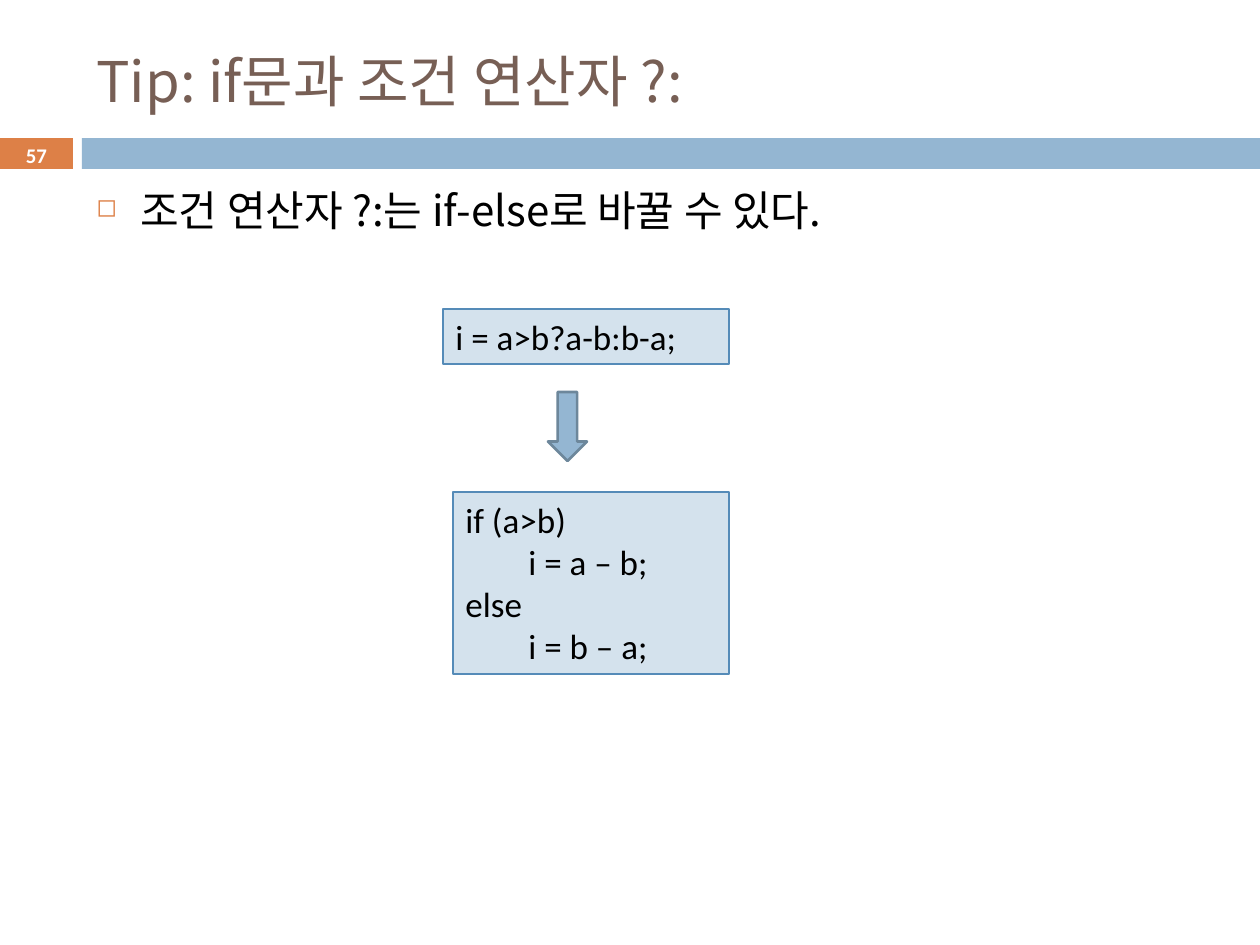
from dataclasses import dataclass

from lxml import etree
from pptx import Presentation
from pptx.dml.color import RGBColor
from pptx.enum.shapes import MSO_SHAPE
from pptx.enum.text import MSO_ANCHOR, PP_ALIGN
from pptx.oxml.ns import qn
from pptx.util import Emu, Pt

RECTANGLE, DOWN_ARROW = MSO_SHAPE.RECTANGLE, MSO_SHAPE.DOWN_ARROW
TOP, MIDDLE = MSO_ANCHOR.TOP, MSO_ANCHOR.MIDDLE
LEFT, CENTER = PP_ALIGN.LEFT, PP_ALIGN.CENTER

EMU_PER_PX = 914400 / 126
CODE_INDENT = 63
BULLET_INDENT = 44
KOREAN_FONT, LATIN_FONT = "Noto Sans CJK KR", "Calibri"
COLORS = {
    "title": "775F55",
    "text": "000000",
    "white": "FFFFFF",
    "accent": "DD8047",
    "band": "94B6D2",
    "arrow_line": "6D879B",
    "code_fill": "D4E2ED",
    "code_line": "558BB8",
}


@dataclass(frozen=True)
class Box:
    left: int
    top: int
    width: int
    height: int


@dataclass(frozen=True)
class Block:
    box: Box
    fill: str
    line: str = ""
    line_width: float = 0
    geometry: int = RECTANGLE


@dataclass(frozen=True)
class TextStyle:
    size: float
    color: str = "text"
    font: str = LATIN_FONT
    bold: bool = False
    align: int = LEFT
    anchor: int = TOP


@dataclass(frozen=True)
class CodeBox:
    box: Box
    lines: tuple[tuple[int, str], ...]


TITLE_STYLE = TextStyle(32, "title", KOREAN_FONT, anchor=MIDDLE)
BODY_STYLE = TextStyle(24, font=KOREAN_FONT)
CODE_STYLE = TextStyle(20)
NUMBER_STYLE = TextStyle(11.9, "white", bold=True, align=CENTER, anchor=MIDDLE)

HEADER_BLOCKS = (
    Block(Box(0, 138, 73, 31), "accent"),
    Block(Box(82, 138, 1178, 31), "band"),
)
ARROW = Block(Box(548, 392, 39, 69), "band", "arrow_line", 1.5, DOWN_ARROW)
CODE_BOXES = (
    CodeBox(
        Box(453, 492, 276, 182),
        ((0, "if (a>b)"), (1, "i = a – b;"), (0, "else"), (1, "i = b – a;")),
    ),
    CodeBox(Box(443, 309, 286, 55), ((0, "i = a>b?a-b:b-a;"),)),
)


def px(value: int) -> Emu:
    return Emu(round(value * EMU_PER_PX))


def place(box: Box) -> tuple[Emu, ...]:
    return px(box.left), px(box.top), px(box.width), px(box.height)


def color(name: str) -> RGBColor:
    return RGBColor.from_string(COLORS[name])


def draw_block(slide, block: Block):
    shape = slide.shapes.add_shape(block.geometry, *place(block.box))
    shape.shadow.inherit = False
    shape.fill.solid()
    shape.fill.fore_color.rgb = color(block.fill)
    if block.line:
        shape.line.color.rgb = color(block.line)
        shape.line.width = Pt(block.line_width)
    else:
        shape.line.fill.background()
    return shape


def write_lines(shape, lines: tuple[tuple[int, str], ...], style: TextStyle) -> None:
    frame = shape.text_frame
    frame.word_wrap = True
    frame.vertical_anchor = style.anchor
    frame.text = "\n".join(text for _, text in lines)
    for paragraph, (level, _) in zip(frame.paragraphs, lines):
        paragraph.alignment = style.align
        paragraph.level = level
        font = paragraph.font
        font.size, font.bold, font.name = Pt(style.size), style.bold, style.font
        font.color.rgb = color(style.color)
        properties = paragraph._p.get_or_add_pPr()
        properties.set("marL", str(px(level * CODE_INDENT)))
        east_asian = etree.SubElement(properties.find(qn("a:defRPr")), qn("a:ea"))
        east_asian.set("typeface", style.font)


def draw_text(slide, box: Box, text: str, style: TextStyle):
    shape = slide.shapes.add_textbox(*place(box))
    write_lines(shape, ((0, text),), style)
    return shape


def add_bullet(paragraph) -> None:
    paragraph.space_before = Pt(7)
    properties = paragraph._p.get_or_add_pPr()
    properties.set("marL", str(px(BULLET_INDENT)))
    properties.set("indent", str(-px(BULLET_INDENT)))
    defaults = properties.find(qn("a:defRPr"))
    bullet_color = etree.Element(qn("a:buClr"))
    etree.SubElement(bullet_color, qn("a:srgbClr"), val=COLORS["accent"])
    bullet_size = etree.Element(qn("a:buSzPct"), val="60000")
    bullet_character = etree.Element(qn("a:buChar"), char="◻")
    for element in (bullet_color, bullet_size, bullet_character):
        defaults.addprevious(element)


def main() -> None:
    presentation = Presentation()
    presentation.slide_width, presentation.slide_height = px(1260), px(945)
    slide = presentation.slides.add_slide(presentation.slide_layouts[6])

    for block in HEADER_BLOCKS:
        draw_block(slide, block)
    draw_text(slide, Box(84, 32, 1124, 97), "Tip: if문과 조건 연산자 ?:", TITLE_STYLE)
    body = draw_text(
        slide,
        Box(84, 178, 1124, 728),
        "조건 연산자 ?:는 if-else로 바꿀 수 있다.",
        BODY_STYLE,
    )
    add_bullet(body.text_frame.paragraphs[0])

    for code in CODE_BOXES:
        shape = draw_block(slide, Block(code.box, "code_fill", "code_line", 0.75))
        write_lines(shape, code.lines, CODE_STYLE)
    draw_block(slide, ARROW)
    draw_text(slide, Box(0, 138, 73, 34), "57", NUMBER_STYLE)

    presentation.save("out.pptx")


if __name__ == "__main__":
    main()
